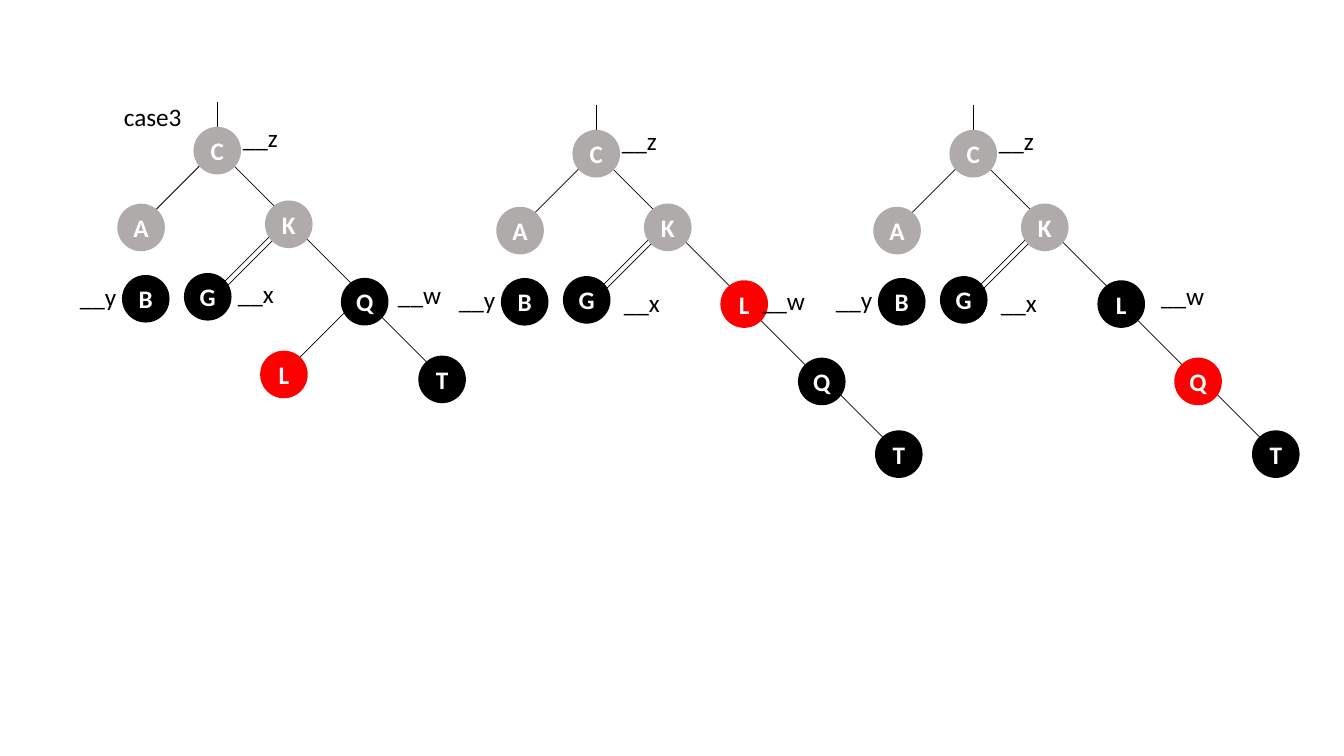
from lxml.etree import SubElement
from pptx import Presentation
from pptx.dml.color import RGBColor
from pptx.enum.shapes import MSO_CONNECTOR, MSO_SHAPE
from pptx.enum.text import MSO_ANCHOR, MSO_AUTO_SIZE, PP_ALIGN
from pptx.oxml.ns import qn
from pptx.util import Pt

GRAY = RGBColor(0xAF, 0xAB, 0xAB)
BLACK = RGBColor(0, 0, 0)
RED = RGBColor(0xFF, 0, 0)
WHITE = RGBColor(0xFF, 0xFF, 0xFF)

SIZE = 34  # node diameter
STEP = 53.4  # run and drop of every branch
LEFT, RIGHT = -STEP, STEP

# Parts shared by all trees, measured from the centre of the root
NODES = [("C", 0, 0, GRAY), ("K", 51.1, 52.6, GRAY), ("B", -51.1, 105.8, BLACK),
         ("A", -54.4, 54.9, GRAY), ("G", -6.8, 104.4, BLACK)]
EDGES = [(0, -1, RIGHT), (-0.7, -1, LEFT), (45.5, 53.2, LEFT),
         (49.3, 54.4, LEFT), (54.4, 53.6, RIGHT), (106.9, 108.4, RIGHT)]
LABELS = [("__z", 11.2, -23.9), ("__y", -105.2, 89.6)]

# Parts that differ: root centre, nodes, edges, labels
TREES = [
    ((155.2, 107.6),
     [("Q", 105.3, 107.9, BLACK), ("L", 47.6, 159.9, RED), ("T", 160.6, 163.4, BLACK)],
     [(99.7, 106.9, LEFT)],
     [("__x", 7.6, 87.5), ("__w", 122, 88.2)]),
    ((425.9, 109.8),
     [("L", 105.7, 107.4, RED), ("Q", 161.1, 162.7, BLACK), ("T", 216.1, 214.6, BLACK)],
     [(162.4, 160.2, RIGHT)],
     [("__x", 12.6, 91.8), ("__w", 111.2, 90.4)]),
    ((695.2, 109.8),
     [("L", 105.7, 107.4, BLACK), ("Q", 160.6, 162.7, RED), ("T", 216.1, 214.6, BLACK)],
     [(162.4, 160.2, RIGHT)],
     [("__x", 12.6, 91.8), ("__w", 127.1, 86.8)]),
]


def style(frame, text, color, bold=False):
    frame.text = text
    frame.word_wrap = True
    font = frame.paragraphs[0].runs[0].font
    font.name = "Calibri"
    font.size = Pt(18)
    font.bold = bold
    font.color.rgb = color


def add_line(slide, x1, y1, x2, y2):
    line = slide.shapes.add_connector(
        MSO_CONNECTOR.STRAIGHT, Pt(x1), Pt(y1), Pt(x2), Pt(y2))
    line.line.color.rgb = BLACK
    line.line.width = Pt(0.5)
    SubElement(line._element.spPr, qn("a:effectLst"))


def add_node(slide, text, x, y, fill):
    node = slide.shapes.add_shape(
        MSO_SHAPE.OVAL, Pt(x - SIZE / 2), Pt(y - SIZE / 2), Pt(SIZE), Pt(SIZE))
    node.shadow.inherit = False
    node.fill.solid()
    node.fill.fore_color.rgb = fill
    node.line.fill.background()
    frame = node.text_frame
    frame.margin_left = frame.margin_right = 0
    frame.margin_top = frame.margin_bottom = 0
    frame.vertical_anchor = MSO_ANCHOR.MIDDLE
    style(frame, text, WHITE, True)
    frame.paragraphs[0].alignment = PP_ALIGN.CENTER


def add_label(slide, text, x, y, width=47.5):
    box = slide.shapes.add_textbox(Pt(x), Pt(y), Pt(width), Pt(29))
    style(box.text_frame, text, BLACK)
    box.text_frame.auto_size = MSO_AUTO_SIZE.SHAPE_TO_FIT_TEXT


def add_tree(slide, root, nodes, edges, labels):
    left, top = root
    # Stem and branches lie behind the nodes
    add_line(slide, left, top - 35, left, top - 4)
    for x, y, run in EDGES + edges:
        add_line(slide, left + x, top + y, left + x + run, top + y + STEP)
    for text, x, y, fill in NODES + nodes:
        add_node(slide, text, left + x, top + y, fill)
    for text, x, y in LABELS + labels:
        add_label(slide, text, left + x, top + y)


def main():
    deck = Presentation()
    deck.slide_width = Pt(960)
    deck.slide_height = Pt(540)
    slide = deck.slides.add_slide(deck.slide_layouts[6])
    # Three stages of the rotation
    for tree in TREES:
        add_tree(slide, *tree)
    # Name of the case
    add_label(slide, "case3", 81.4, 69.1, 91.4)
    deck.save("out.pptx")


if __name__ == "__main__":
    main()
